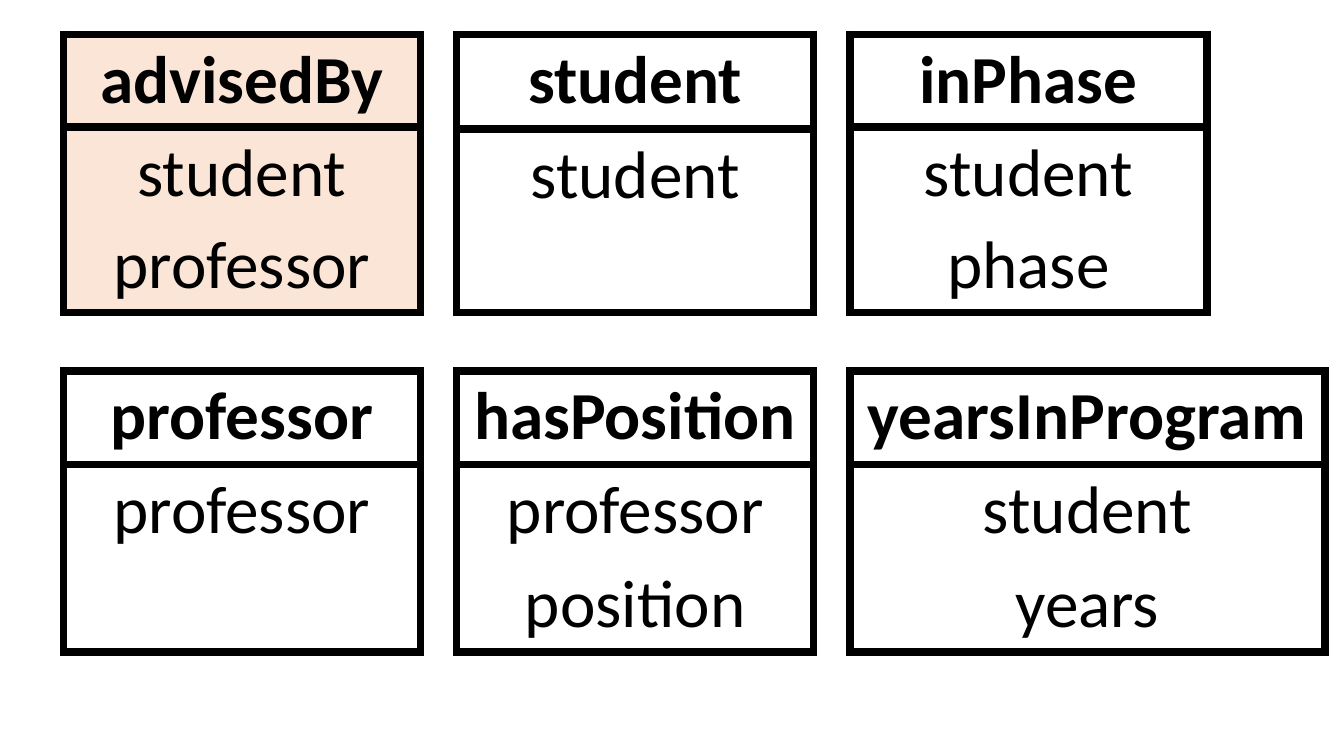
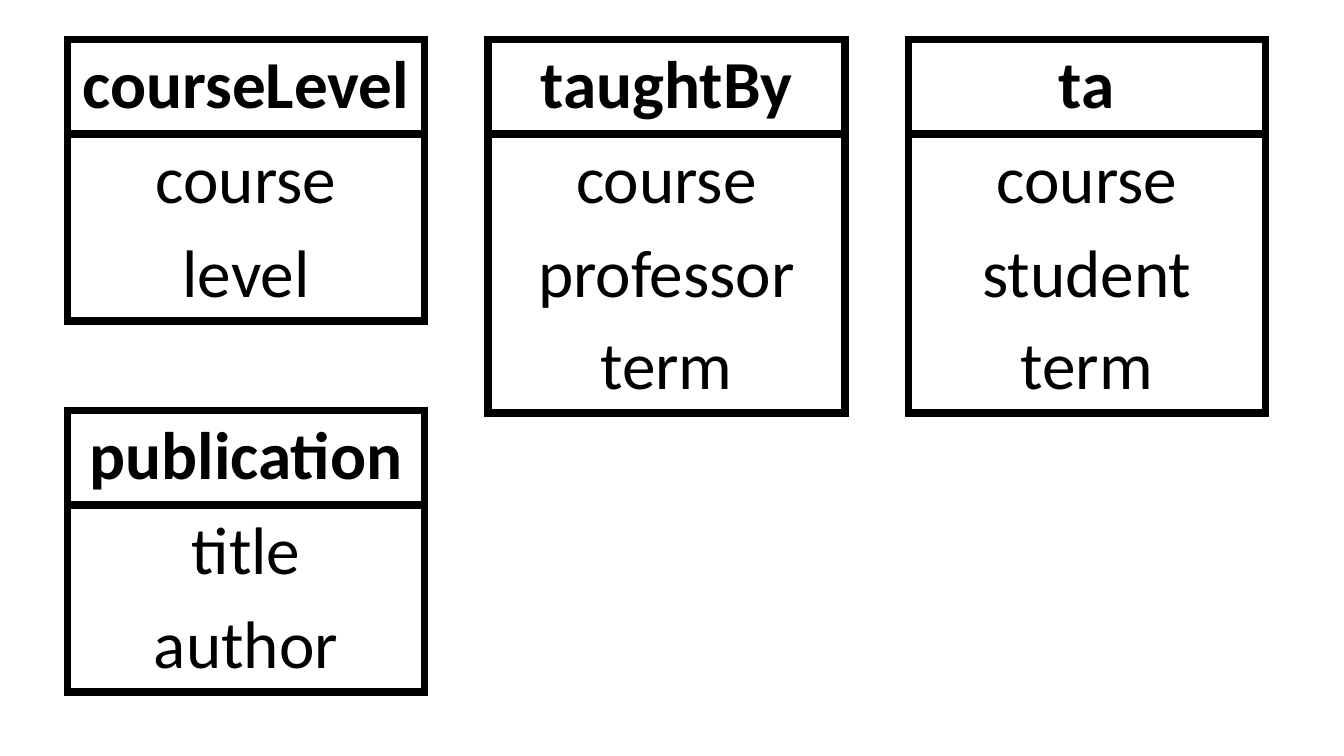
from lxml import etree
from pptx import Presentation
from pptx.dml.color import RGBColor
from pptx.enum.text import PP_ALIGN
from pptx.oxml.ns import qn
from pptx.util import Pt

CENTER = PP_ALIGN.CENTER
PX = 9144  # EMU, 100 px to the inch
BLACK, PEACH = "000000", "FBE5D6"
LINE = 6 * 12700
WIDTH, WIDE = 354, 471
FONT = {"name": "Calibri", "size": Pt(48)}
LOW, EVEN, TALL = (92, 92, 92), (93, 93, 93), (94, 94, 88, 88)

# Each table: column, row, words, row heights, width, fill
SLIDES = [
    {"left": 63, "top": 34, "dx": 390, "dy": 334, "tables": [
        (0, 0, ("advisedBy", "student", "professor"), LOW, WIDTH, PEACH),
        (1, 0, ("student", "student", ""), TALL, WIDTH, None),
        (2, 0, ("inPhase", "student", "phase"), LOW, WIDTH, None),
        (0, 1, ("professor", "professor", ""), EVEN, WIDTH, None),
        (1, 1, ("hasPosition", "professor", "position"), EVEN, WIDTH, None),
        (2, 1, ("yearsInProgram", "student", "years"), EVEN, WIDE, None),
    ]},
    {"left": 67, "top": 39, "dx": 417, "dy": 368, "tables": [
        (0, 0, ("courseLevel", "course", "level"), TALL, WIDTH, None),
        (1, 0, ("taughtBy", "course", "professor", "term"), TALL, WIDTH, None),
        (2, 0, ("ta", "course", "student", "term"), TALL, WIDTH, None),
        (0, 1, ("publication", "title", "author"), TALL, WIDTH, None),
    ]},
]


def color(value):
    return RGBColor.from_string(value)


def border(cell, sides):
    """Draw the named sides (L, R, T, B) and blank the others."""
    props = cell._tc.get_or_add_tcPr()
    for place, side in enumerate("LRTB"):
        line = etree.Element(qn("a:ln" + side), w=str(LINE))
        if side in sides:
            fill = etree.SubElement(line, qn("a:solidFill"))
            etree.SubElement(fill, qn("a:srgbClr"), val=BLACK)
        else:
            etree.SubElement(line, qn("a:noFill"))
        props.insert(place, line)


def write(cell, word, bold):
    para = cell.text_frame.paragraphs[0]
    para.alignment = CENTER
    if not word:
        return
    run = para.add_run()
    run.text = word
    for key, value in {**FONT, "bold": bold}.items():
        setattr(run.font, key, value)
    run.font.color.rgb = color(BLACK)


def add_schema(slide, x, y, words, heights, width, fill):
    """Add a one-column table: a bold name above its fields."""
    count = len(words)
    heights = heights[:count]
    box = (x, y, width, sum(heights))
    frame = slide.shapes.add_table(count, 1, *(n * PX for n in box))
    table = frame.table
    table.first_row = table.horz_banding = False
    for i, (word, height) in enumerate(zip(words, heights)):
        table.rows[i].height = height * PX
        cell = table.cell(i, 0)
        write(cell, word, i == 0)
        if fill:
            cell.fill.solid()
            cell.fill.fore_color.rgb = color(fill)
        else:
            cell.fill.background()
        top = "T" if i < 2 else ""
        bottom = "B" if i in (0, count - 1) else ""
        border(cell, "LR" + top + bottom)


def add_page(deck, page):
    slide = deck.slides.add_slide(deck.slide_layouts[6])
    for col, row, *parts in page["tables"]:
        x = page["left"] + col * page["dx"]
        y = page["top"] + row * page["dy"]
        add_schema(slide, x, y, *parts)


def main():
    deck = Presentation()
    deck.slide_width, deck.slide_height = 1333 * PX, 750 * PX
    for page in SLIDES:
        add_page(deck, page)
    deck.save("out.pptx")


if __name__ == "__main__":
    main()
